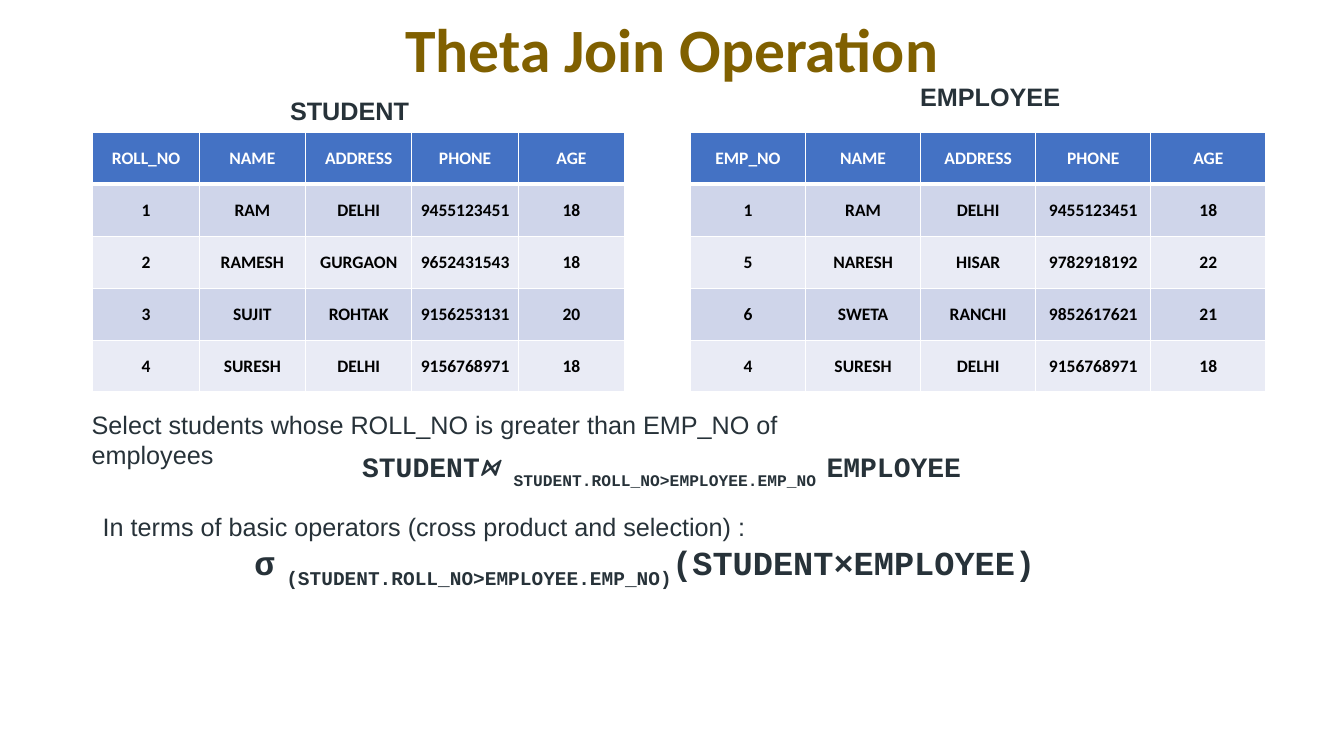
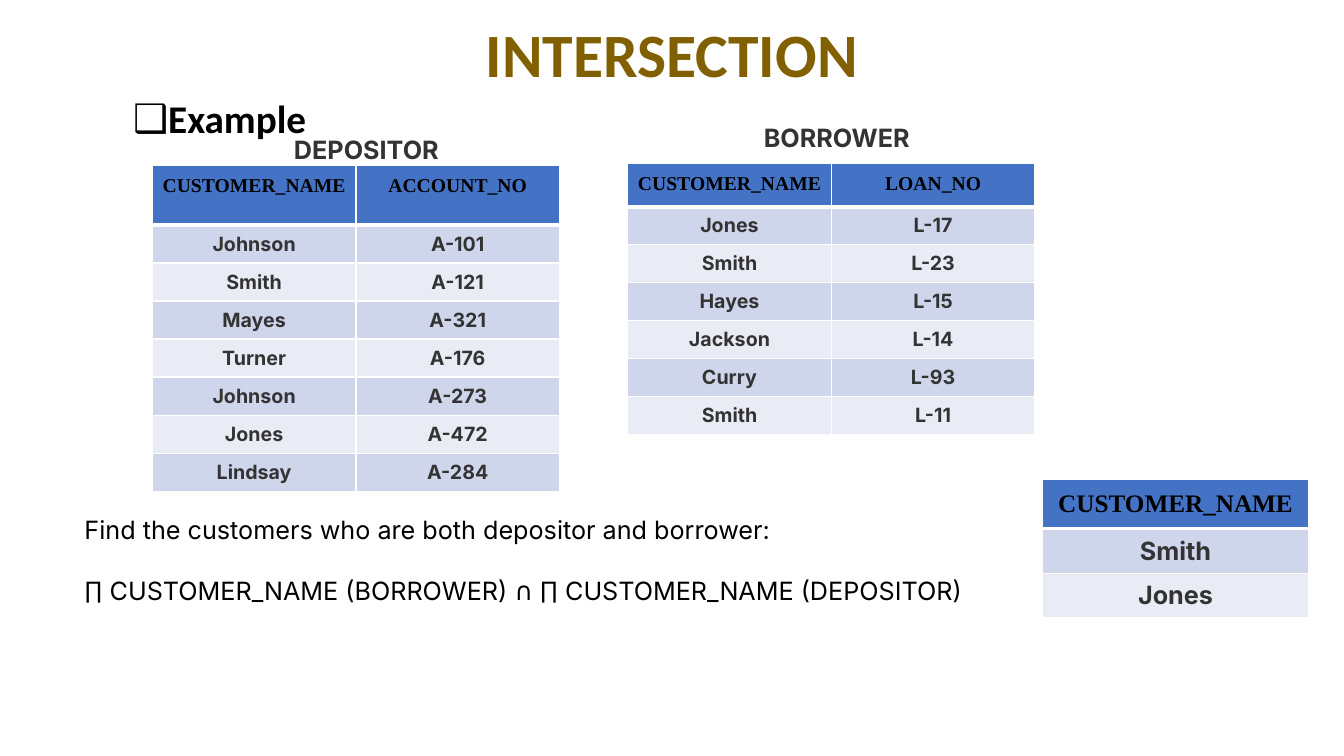
import pptx
import pptx.dml.color
import pptx.enum.text
import pptx.oxml.ns
import pptx.util
from lxml import etree

Cm = pptx.util.Cm
Pt = pptx.util.Pt
RGBColor = pptx.dml.color.RGBColor
ALIGN = pptx.enum.text.PP_ALIGN
ANCHOR = pptx.enum.text.MSO_ANCHOR

GOLD = RGBColor(0x80, 0x60, 0x00)
BLUE = RGBColor(0x44, 0x72, 0xC4)
BAND_COLORS = (RGBColor(0xCF, 0xD5, 0xEA), RGBColor(0xE9, 0xEB, 0xF5))
SLATE = RGBColor(0x27, 0x32, 0x39)
CHARCOAL = RGBColor(0x33, 0x33, 0x33)
BLACK = RGBColor(0x00, 0x00, 0x00)
WHITE = RGBColor(0xFF, 0xFF, 0xFF)

# Text styles: font name, size in points, colour, bold
TITLE = ("Calibri", 44, GOLD, True)
EXAMPLE = ("Calibri", 28, BLACK, True)
PEOPLE_HEADER = ("Calibri", 12.5, WHITE, True)
PEOPLE_BODY = ("Calibri", 12.5, BLACK, True)
BANK_HEADER = ("Times New Roman", 14, BLACK, True)
BANK_BODY = ("Inter", 14, CHARCOAL, True)
RESULT_HEADER = ("Times New Roman", 18, BLACK, True)
RESULT_BODY = ("Inter", 18, CHARCOAL, True)
PEOPLE_LABEL = ("Arial", 18, SLATE, True)
BANK_LABEL = ("Inter", 18, CHARCOAL, True)
SENTENCE = ("Arial", 18, SLATE, False)
QUERY = ("Inter", 18, BLACK, False)

STUDENTS = [
    ("ROLL_NO", "NAME", "ADDRESS", "PHONE", "AGE"),
    ("1", "RAM", "DELHI", "9455123451", "18"),
    ("2", "RAMESH", "GURGAON", "9652431543", "18"),
    ("3", "SUJIT", "ROHTAK", "9156253131", "20"),
    ("4", "SURESH", "DELHI", "9156768971", "18"),
]
EMPLOYEES = [
    ("EMP_NO", "NAME", "ADDRESS", "PHONE", "AGE"),
    ("1", "RAM", "DELHI", "9455123451", "18"),
    ("5", "NARESH", "HISAR", "9782918192", "22"),
    ("6", "SWETA", "RANCHI", "9852617621", "21"),
    ("4", "SURESH", "DELHI", "9156768971", "18"),
]
DEPOSITORS = [
    ("CUSTOMER_NAME", "ACCOUNT_NO"),
    ("Johnson", "A-101"),
    ("Smith", "A-121"),
    ("Mayes", "A-321"),
    ("Turner", "A-176"),
    ("Johnson", "A-273"),
    ("Jones", "A-472"),
    ("Lindsay", "A-284"),
]
BORROWERS = [
    ("CUSTOMER_NAME", "LOAN_NO"),
    ("Jones", "L-17"),
    ("Smith", "L-23"),
    ("Hayes", "L-15"),
    ("Jackson", "L-14"),
    ("Curry", "L-93"),
    ("Smith", "L-11"),
]
BOTH = [("CUSTOMER_NAME",), ("Smith",), ("Jones",)]


def set_style(paragraph, style):
    font = paragraph.font
    font.name, size, font.color.rgb, font.bold = style
    font.size = Pt(size)


def place(shape, left, top, width, height):
    """Move and size a shape, in centimetres."""
    shape.left, shape.top = Cm(left), Cm(top)
    shape.width, shape.height = Cm(width), Cm(height)


def add_titled_slide(presentation, layout_index, title, title_height):
    slide = presentation.slides.add_slide(presentation.slide_layouts[layout_index])
    shape = slide.shapes.title
    place(shape, 2.33, 0.05, 29.21, title_height)
    shape.text_frame.vertical_anchor = ANCHOR.MIDDLE
    paragraph = shape.text_frame.paragraphs[0]
    paragraph.text = title
    paragraph.alignment = ALIGN.CENTER
    paragraph.line_spacing = 0.9
    set_style(paragraph, TITLE)
    return slide


def fill_bullet(shape, text):
    shape.text_frame.auto_size = pptx.enum.text.MSO_AUTO_SIZE.NONE
    paragraph = shape.text_frame.paragraphs[0]
    paragraph.text = text
    paragraph.line_spacing = 0.9
    paragraph.space_before = Pt(0)
    properties = paragraph._p.get_or_add_pPr()
    properties.set("marL", str(Cm(0.64)))
    properties.set("indent", str(-Cm(0.64)))
    etree.SubElement(properties, pptx.oxml.ns.qn("a:buChar")).set("char", "❑")
    set_style(paragraph, EXAMPLE)


def add_text(slide, box, lines, style, alignment=ALIGN.LEFT, gap=0):
    """Add a text box with one paragraph per line, gap points apart."""
    shape = slide.shapes.add_textbox(*map(Cm, box))
    frame = shape.text_frame
    frame.word_wrap = True
    for index, line in enumerate(lines):
        paragraph = frame.add_paragraph() if index else frame.paragraphs[0]
        paragraph.text = line
        paragraph.alignment = alignment
        if index:
            paragraph.space_before = Pt(gap)
        set_style(paragraph, style)


def add_formula(slide, box, size, parts):
    """Add a centred formula from (text, kind) parts; kind is "", "italic" or "sub"."""
    frame = slide.shapes.add_textbox(*map(Cm, box)).text_frame
    frame.word_wrap = True
    frame.vertical_anchor = ANCHOR.MIDDLE
    frame.margin_left = frame.margin_right = frame.margin_top = frame.margin_bottom = 0
    paragraph = frame.paragraphs[0]
    paragraph.alignment = ALIGN.CENTER
    set_style(paragraph, ("Courier New", size, SLATE, True))
    for text, kind in parts:
        run = paragraph.add_run()
        run.text = text
        if kind == "italic":
            run.font.italic = True
        elif kind == "sub":
            run._r.get_or_add_rPr().set("baseline", "-30000")


def set_borders(cell, row_index):
    """Draw white borders, thick between the header and the first body row."""
    widths = {
        "a:lnL": 1,
        "a:lnR": 1,
        "a:lnT": 3 if row_index == 1 else 1,
        "a:lnB": 3 if row_index == 0 else 1,
    }
    qn = pptx.oxml.ns.qn
    properties = cell._tc.get_or_add_tcPr()
    for tag, width in widths.items():
        line = etree.SubElement(properties, qn(tag), w=str(Pt(width)))
        fill = etree.SubElement(line, qn("a:solidFill"))
        etree.SubElement(fill, qn("a:srgbClr"), val=str(WHITE))


def add_grid(slide, position, column_width, row_heights, rows, styles, margins,
             anchor=ANCHOR.TOP):
    """Add a banded table; heights, styles and margins are (header, body) pairs.

    Each margin is a (horizontal, vertical) pair.
    """
    left, top = position
    header_height, body_height = row_heights
    width = column_width * len(rows[0])
    height = header_height + body_height * (len(rows) - 1)
    table = slide.shapes.add_table(
        len(rows), len(rows[0]), Cm(left), Cm(top), Cm(width), Cm(height)).table
    for column in table.columns:
        column.width = Cm(column_width)
    for row_index, values in enumerate(rows):
        part = min(row_index, 1)
        table.rows[row_index].height = Cm(row_heights[part])
        for column_index, value in enumerate(values):
            cell = table.cell(row_index, column_index)
            set_borders(cell, row_index)
            cell.fill.solid()
            cell.fill.fore_color.rgb = BAND_COLORS[(row_index - 1) % 2] if part else BLUE
            horizontal, vertical = margins[part]
            cell.margin_left = cell.margin_right = Cm(horizontal)
            cell.margin_top = cell.margin_bottom = Cm(vertical)
            cell.vertical_anchor = anchor
            paragraph = cell.text_frame.paragraphs[0]
            paragraph.text = value
            paragraph.alignment = ALIGN.CENTER
            set_style(paragraph, styles[part])


def add_people_table(slide, left, column_width, rows):
    add_grid(slide, (left, 3.33), column_width, (1.31, 1.31), rows,
             (PEOPLE_HEADER, PEOPLE_BODY), ((0.2, 0.3), (0.2, 0.3)), ANCHOR.MIDDLE)


def add_bank_table(slide, position, column_width, row_heights, rows,
                   styles=(BANK_HEADER, BANK_BODY)):
    add_grid(slide, position, column_width, row_heights, rows, styles,
             ((0.25, 0.25), (0.18, 0.18)))


def build_theta_join(presentation):
    slide = add_titled_slide(presentation, 5, "Theta Join Operation", 2.57)
    add_people_table(slide, 2.34, 2.68, STUDENTS)
    add_people_table(slide, 17.4, 2.9, EMPLOYEES)
    add_text(slide, (7.06, 2.29, 4.52, 1.02), ["STUDENT"], PEOPLE_LABEL)
    add_text(slide, (22.94, 1.93, 4.67, 1.02), ["EMPLOYEE"], PEOPLE_LABEL)
    add_text(slide, (2.06, 10.19, 19.23, 1.02),
             ["Select students whose ROLL_NO is greater than EMP_NO of employees"],
             SENTENCE)
    add_formula(slide, (8.61, 11.4, 16.13, 0.86), 20, [
        ("STUDENT", ""),
        ("⋈ ", "italic"),
        ("STUDENT.ROLL_NO>EMPLOYEE.EMP_NO ", "sub"),
        ("EMPLOYEE", ""),
    ])
    add_text(slide, (2.34, 12.75, 16.94, 1.02),
             ["In terms of basic operators (cross product and selection) :"], SENTENCE)
    add_formula(slide, (6.38, 13.74, 19.74, 1.02), 24, [
        ("σ", ""),
        (" (STUDENT.ROLL_NO>EMPLOYEE.EMP_NO)", "sub"),
        ("(STUDENT×EMPLOYEE)", ""),
    ])


def build_intersection(presentation):
    slide = add_titled_slide(presentation, 1, "INTERSECTION", 2.82)
    body = slide.placeholders[1]
    place(body, 3.1, 2.39, 30.43, 16.38)
    fill_bullet(body, "Example")
    add_bank_table(slide, (3.84, 4.17), 5.13, (1.5, 0.93), DEPOSITORS)
    add_bank_table(slide, (15.82, 4.11), 5.13, (1.1, 0.93), BORROWERS)
    add_bank_table(slide, (26.26, 12.09), 6.73, (1.23, 1.1), BOTH,
                   (RESULT_HEADER, RESULT_BODY))
    add_text(slide, (7.16, 3.25, 4.42, 1.02), ["DEPOSITOR"], BANK_LABEL)
    add_text(slide, (19, 2.95, 5.28, 1.02), ["BORROWER"], BANK_LABEL)
    add_text(slide, (1.88, 12.83, 24, 4.11), [
        "Find the customers who are both depositor and borrower:",
        "∏ CUSTOMER_NAME (BORROWER) ∩ ∏ CUSTOMER_NAME (DEPOSITOR)",
    ], QUERY, ALIGN.JUSTIFY, gap=22)


def main():
    presentation = pptx.Presentation()
    presentation.slide_width = Cm(33.87)
    presentation.slide_height = Cm(19.05)
    build_theta_join(presentation)
    build_intersection(presentation)
    presentation.save("out.pptx")


if __name__ == "__main__":
    main()
